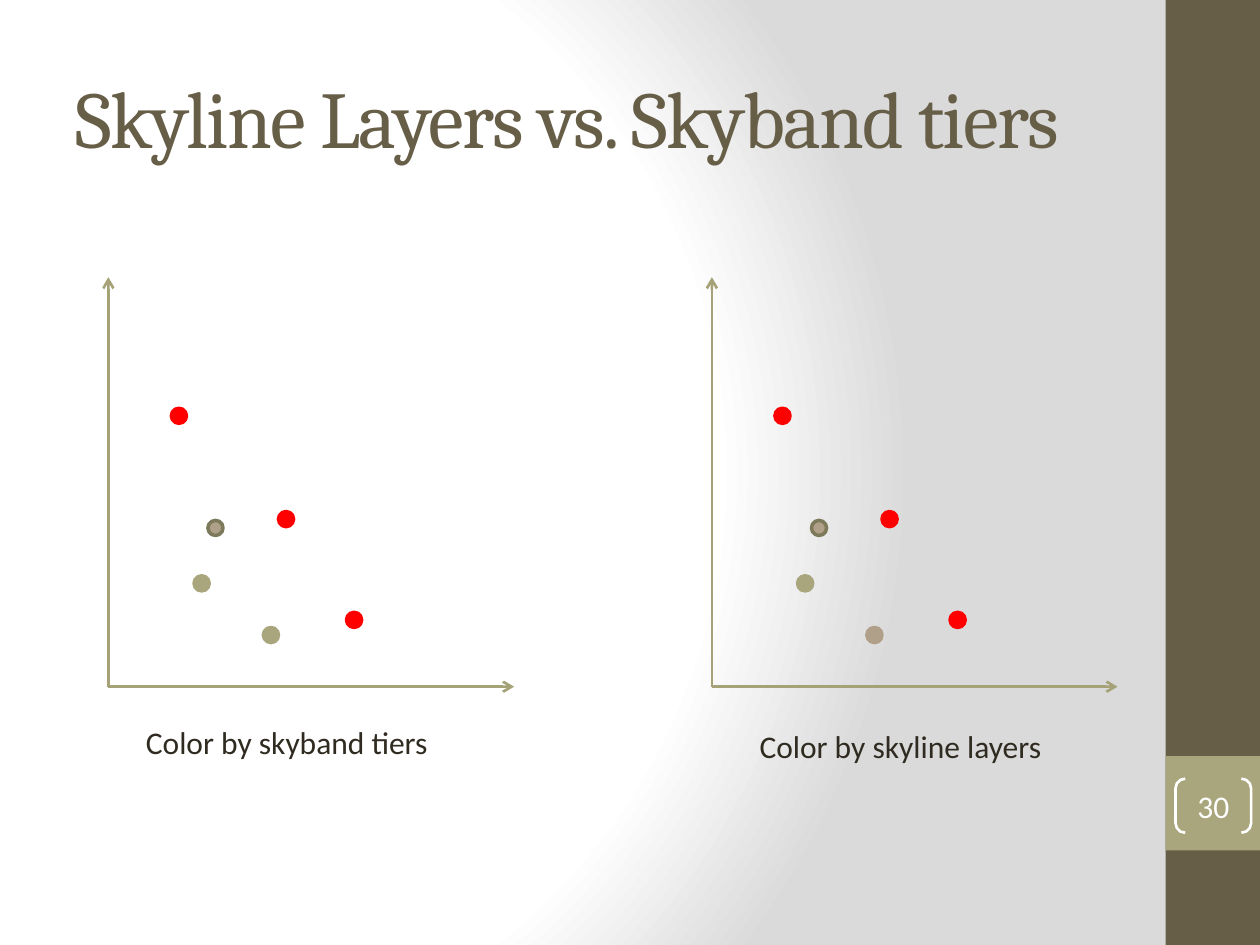
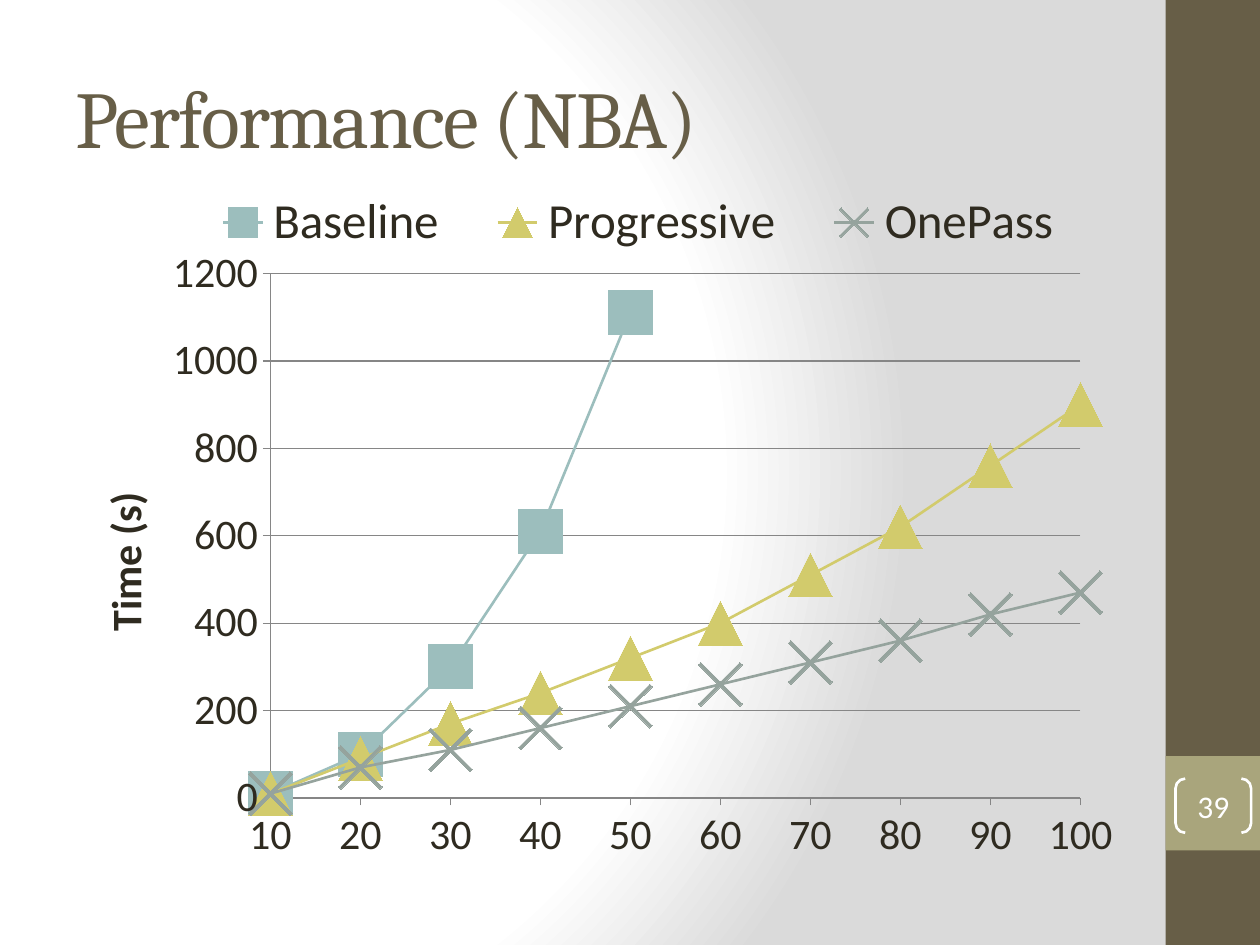
from lxml import etree
from pptx import Presentation
from pptx.chart.data import CategoryChartData
from pptx.dml.color import RGBColor
from pptx.enum.chart import XL_CHART_TYPE, XL_LEGEND_POSITION, XL_MARKER_STYLE as MARKER, XL_TICK_MARK
from pptx.enum.shapes import MSO_CONNECTOR, MSO_SHAPE
from pptx.enum.text import MSO_ANCHOR, PP_ALIGN
from pptx.oxml import parse_xml
from pptx.oxml.ns import nsdecls, qn
from pptx.util import Inches, Pt

BROWN = RGBColor(0x67, 0x5E, 0x47)
OLIVE = RGBColor(0xA9, 0xA5, 0x7C)
AXIS = RGBColor(0xA6, 0xA2, 0x78)
TAN = RGBColor(0xB1, 0xA0, 0x89)
DARK_OLIVE = RGBColor(0x7D, 0x7A, 0x5C)
RED = RGBColor(0xFF, 0x00, 0x00)
WHITE = RGBColor(0xFF, 0xFF, 0xFF)
INK = RGBColor(0x2F, 0x2B, 0x20)
GRID = RGBColor(0x86, 0x86, 0x86)
TEAL = RGBColor(0x9C, 0xBE, 0xBD)
YELLOW = RGBColor(0xD2, 0xCB, 0x6C)
GRAY = RGBColor(0x95, 0xA3, 0x9D)
HEAD_FONT, BODY_FONT = "Cambria", "Calibri"

BACKGROUND = f"""<p:bg {nsdecls('p', 'a')}><p:bgPr><a:gradFill rotWithShape="1"><a:gsLst>
<a:gs pos="0"><a:srgbClr val="FFFFFF"/></a:gs><a:gs pos="75000"><a:srgbClr val="FFFFFF"/></a:gs>
<a:gs pos="100000"><a:srgbClr val="DADADA"/></a:gs></a:gsLst><a:path path="circle">
<a:fillToRect l="20000" t="50000" r="100000" b="50000"/></a:path></a:gradFill>
<a:effectLst/></p:bgPr></p:bg>"""


def add_shape(shapes, kind, x, y, w, h, fill=None, line=None, width=2):
    sp = shapes.add_shape(kind, Inches(x), Inches(y), Inches(w), Inches(h))
    sp.shadow.inherit = False
    if fill is None:
        sp.fill.background()
    else:
        sp.fill.solid()
        sp.fill.fore_color.rgb = fill
    if line is None:
        sp.line.fill.background()
    else:
        sp.line.color.rgb = line
        sp.line.width = Pt(width)
    return sp


def write(tf, text, size, color, face=BODY_FONT):
    """Set the text of a frame and return its formatted run."""
    tf.text = text
    r = tf.paragraphs[0].runs[0]
    r.font.size = Pt(size)
    r.font.name = face
    r.font.color.rgb = color
    return r


prs = Presentation()
prs.slide_width, prs.slide_height = Inches(10), Inches(7.5)

# Shared frame: background, side band, title and page number
slides = []
for title, number in [("Skyline Layers vs. Skyband tiers", "30"), ("Performance (NBA)", "39")]:
    s = prs.slides.add_slide(prs.slide_layouts[6])
    s._element.cSld.insert(0, parse_xml(BACKGROUND))
    add_shape(s.shapes, MSO_SHAPE.RECTANGLE, 9.25, 0, 0.75, 7.5, BROWN)
    add_shape(s.shapes, MSO_SHAPE.RECTANGLE, 9.25, 6, 0.75, 0.75, OLIVE)

    tf = s.shapes.add_textbox(Inches(0.5), Inches(0.3), Inches(8.33), Inches(1.25)).text_frame
    tf.word_wrap = True
    tf.vertical_anchor = MSO_ANCHOR.MIDDLE
    r = write(tf, title, 46, BROWN, HEAD_FONT)
    r.font._element.set("spc", "-100")

    bracket = add_shape(s.shapes, MSO_SHAPE.DOUBLE_BRACKET, 9.33, 6.18, 0.6, 0.43, line=WHITE, width=1.5)
    bracket.adjustments[0] = 0.179
    tf = bracket.text_frame
    tf.margin_left = tf.margin_top = tf.margin_right = tf.margin_bottom = 0
    tf.vertical_anchor = MSO_ANCHOR.MIDDLE
    write(tf, number, 18, WHITE)
    tf.paragraphs[0].alignment = PP_ALIGN.CENTER
    slides.append(s)
layers_slide, chart_slide = slides

# Two scatter diagrams of the same points, differing in the colour of one point
ORIGIN_X, ORIGIN_Y = 0.86, 5.45
DOT = 0.12
plots = [
    (0, OLIVE, "Color by skyband tiers", 1.06, 5.69),
    (4.79, TAN, "Color by skyline layers", 5.93, 5.72),
]
for shift, low_point_color, caption, caption_x, caption_y in plots:
    group = layers_slide.shapes.add_group_shape()
    for end_x, end_y in [(ORIGIN_X, 2.2), (4.08, ORIGIN_Y)]:
        axis = group.shapes.add_connector(
            MSO_CONNECTOR.STRAIGHT, Inches(ORIGIN_X + shift), Inches(ORIGIN_Y),
            Inches(end_x + shift), Inches(end_y))
        axis.line.color.rgb = AXIS
        axis.line.width = Pt(1.5)
        etree.SubElement(axis.line._get_or_add_ln(), qn("a:tailEnd"), type="arrow")
        etree.SubElement(axis._element.spPr, qn("a:effectLst"))
    points = [
        (1.65, 4.13, TAN, DARK_OLIVE),
        (1.36, 3.24, RED, RED),
        (1.54, 4.57, OLIVE, OLIVE),
        (2.09, 4.98, low_point_color, low_point_color),
        (2.75, 4.86, RED, RED),
        (2.21, 4.06, RED, RED),
    ]
    for x, y, fill, line in points:
        add_shape(group.shapes, MSO_SHAPE.OVAL, x + shift, y, DOT, DOT, fill, line)
    box = layers_slide.shapes.add_textbox(Inches(caption_x), Inches(caption_y), Inches(2.53), Inches(0.4))
    write(box.text_frame, caption, 18, INK)

# Running time chart
data = CategoryChartData()
data.categories = [str(n) for n in range(10, 101, 10)]
series_styles = [
    ("Baseline", [10, 100, 300, 610, 1110] + [None] * 5, TEAL, MARKER.SQUARE),
    ("Progressive", [10, 90, 170, 240, 320, 400, 510, 620, 760, 900], YELLOW, MARKER.TRIANGLE),
    ("OnePass", [10, 70, 110, 160, 210, 260, 310, 360, 420, 470], GRAY, MARKER.X),
]
for name, values, _, _ in series_styles:
    data.add_series(name, values)
chart = chart_slide.shapes.add_chart(
    XL_CHART_TYPE.LINE_MARKERS, Inches(0.35), Inches(1.39), Inches(8.98), Inches(5.79), data).chart
chart.has_title = False
chart.font.name = BODY_FONT
chart.font.size = Pt(24)
chart.font.color.rgb = INK
chart.plots[0].vary_by_categories = False

for series, (_, _, color, marker) in zip(chart.plots[0].series, series_styles):
    series.smooth = False
    series.format.line.color.rgb = color
    series.format.line.width = Pt(1.5)
    series.marker.style = marker
    series.marker.size = 25
    series.marker.format.fill.solid()
    series.marker.format.fill.fore_color.rgb = color
    if marker == MARKER.X:
        series.marker.format.line.color.rgb = color
    else:
        series.marker.format.line.fill.background()

time_axis = chart.value_axis
for axis in (chart.category_axis, time_axis):
    axis.major_tick_mark = XL_TICK_MARK.OUTSIDE
    axis.minor_tick_mark = XL_TICK_MARK.NONE
    axis.format.line.color.rgb = GRID
    axis.tick_labels.font.size = Pt(24)
time_axis.minimum_scale, time_axis.maximum_scale, time_axis.major_unit = 0, 1200, 200
time_axis.major_gridlines.format.line.color.rgb = GRID
# The first category sits on the value axis
major_unit = time_axis._element.find(qn("c:majorUnit"))
major_unit.addprevious(parse_xml(f'<c:crossBetween {nsdecls("c")} val="midCat"/>'))
write(time_axis.axis_title.text_frame, "Time (s)", 24, INK).font.bold = True

chart.has_legend = True
chart.legend.position = XL_LEGEND_POSITION.RIGHT
chart.legend.include_in_layout = False
chart.legend.font.size = Pt(28)
chart.legend.font.name = BODY_FONT
chart.legend.font.color.rgb = INK

# Manual placement as fractions of the chart: x, y and, where needed, width and height
placements = [
    (chart._chartSpace.chart.plotArea, 0, "inner", (0.2, 0.135, 0.716, 0.719)),
    (chart.legend._element, 1, None, (0.12, 0.02, 0.81, 0.09)),
    (time_axis.axis_title._element, 1, None, (0.04, 0.425)),
]
for parent, index, target, fractions in placements:
    for old in parent.findall(qn("c:layout")):
        parent.remove(old)
    layout = parse_xml(f"<c:layout {nsdecls('c')}/>")
    manual = etree.SubElement(layout, qn("c:manualLayout"))
    if target:
        etree.SubElement(manual, qn("c:layoutTarget"), val=target)
    for tag in ("xMode", "yMode"):
        etree.SubElement(manual, qn(f"c:{tag}"), val="edge")
    for tag, fraction in zip("xywh", fractions):
        etree.SubElement(manual, qn(f"c:{tag}"), val=str(fraction))
    parent.insert(index, layout)

prs.save("out.pptx")
